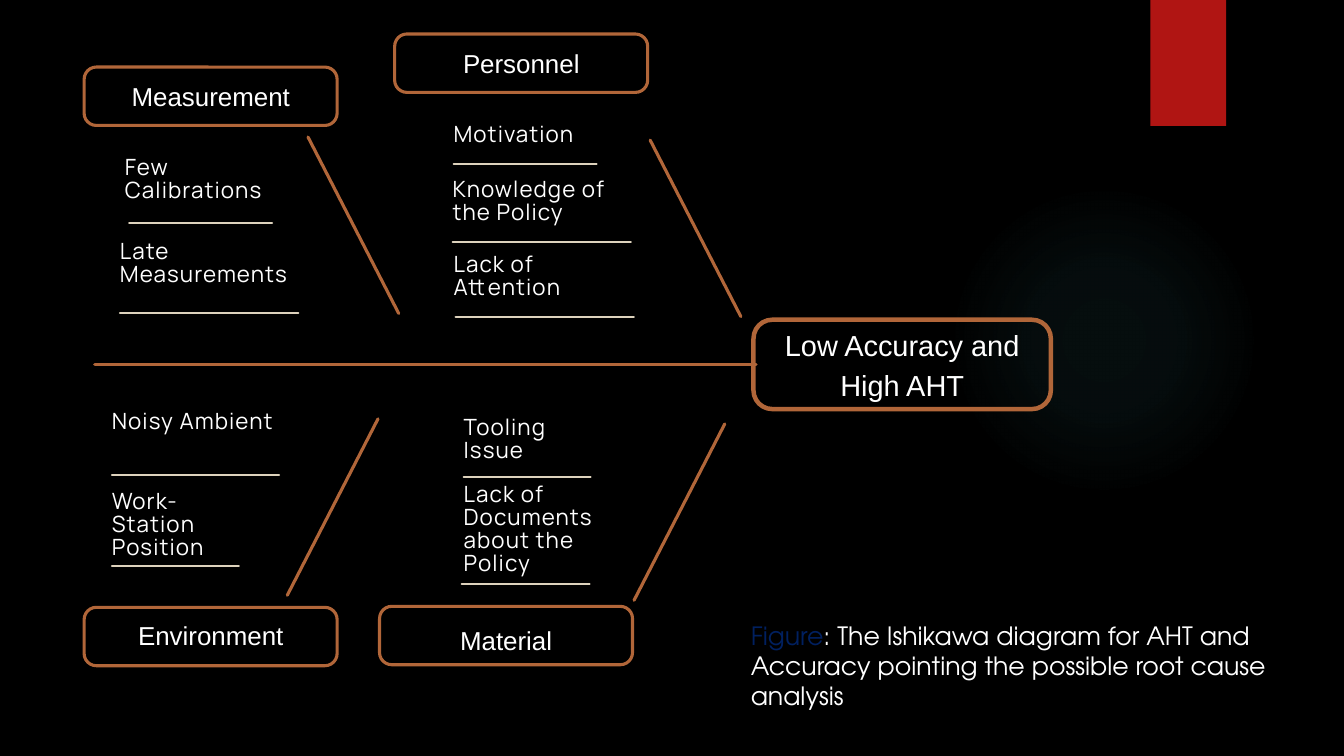
from lxml import etree
from pptx import Presentation
from pptx.dml.color import RGBColor
from pptx.enum.shapes import MSO_CONNECTOR, MSO_SHAPE
from pptx.enum.text import PP_ALIGN
from pptx.oxml import parse_xml
from pptx.oxml.ns import nsdecls, qn
from pptx.util import Pt

BROWN = "B16639"
SAND = "DDD2BC"
WHITE = "FFFFFF"

BONE_WIDTH, BONE_HEIGHT = 64.8, 126
CATEGORY_WIDTH, CATEGORY_HEIGHT = 182.9, 43.9

# Upper-left corner of each bone, and whether it leans down to the right
BONES = [
    (220, 97.9, True),
    (464.4, 100.1, True),
    (205.2, 299.2, False),
    (452.9, 302.8, False),
]

# Label, left, top, distance from the frame top to the label
CATEGORIES = [
    ("Measurement", 59, 46.8, 7),
    ("Personnel", 280.8, 23.2, 7),
    ("Environment", 59, 432.7, 6.5),
    ("Material", 270, 432, 10.8),
]

# Text, left, top, width, then left, height and length of the rule below
CAUSES = [
    ("Few Calibrations", 89.3, 112.3, 108, 92.2, 159.2, 102.2),
    ("Late Measurements", 85.7, 172.1, 133.9, 85.7, 223.8, 127.4),
    ("Motivation", 324, 88.4, 102.2, 324, 117.4, 102.2),
    ("Knowledge of the Policy", 323.3, 128, 127.4, 323.3, 172.8, 127.4),
    ("Lack of Attention", 324, 181.4, 127.4, 325.4, 226.2, 127.4),
    ("Noisy Ambient", 79.9, 293.8, 120.2, 79.9, 339.1, 119.5),
    ("Work-Station Position", 79.9, 350.6, 91.4, 79.9, 404.4, 90.7),
    ("Tooling Issue", 331.2, 298.1, 102.2, 331.2, 340.5, 90.7),
    ("Lack of Documents about the Policy", 331.2, 345.8, 102.2, 329.8, 417.4, 91.4),
]


def color(value):
    return RGBColor.from_string(value)


def add_shape(page, kind, left, top, width, height):
    shape = page.shapes.add_shape(kind, Pt(left), Pt(top), Pt(width), Pt(height))
    shape.shadow.inherit = False
    shape.line.fill.background()
    return shape


def add_glow(page):
    """Add the faint teal disc that fades out towards its edge."""
    glow = add_shape(page, MSO_SHAPE.OVAL, 677.5, 131.8, 221.8, 221.8)
    stops = "".join(
        f'<a:gs pos="{place * 1000}"><a:srgbClr val="50B9C1">'
        f'<a:alpha val="{alpha * 1000}"/></a:srgbClr></a:gs>'
        for place, alpha in [(0, 7), (36, 6), (69, 0), (100, 0)]
    )
    gradient = parse_xml(
        f'<a:gradFill {nsdecls("a")} rotWithShape="1"><a:gsLst>{stops}</a:gsLst>'
        '<a:path path="circle">'
        '<a:fillToRect l="50000" t="50000" r="50000" b="50000"/>'
        '</a:path></a:gradFill>'
    )
    glow.element.spPr.find(qn("a:prstGeom")).addnext(gradient)


def add_frame(page, left, top, width, height, weight):
    """Add a rounded outline whose outer edge has the given size."""
    frame = add_shape(page, MSO_SHAPE.ROUNDED_RECTANGLE, left + weight / 2,
                      top + weight / 2, width - weight, height - weight)
    frame.adjustments[0] = 0.21
    frame.fill.background()
    frame.line.color.rgb = color(BROWN)
    frame.line.width = Pt(weight)


def add_line(page, start, end, line_color, weight):
    line = page.shapes.add_connector(
        MSO_CONNECTOR.STRAIGHT, *[Pt(value) for value in (*start, *end)])
    line.line.color.rgb = color(line_color)
    line.line.width = Pt(weight)
    line.line._get_or_add_ln().set("cap", "rnd")
    etree.SubElement(line._element.spPr, qn("a:effectLst"))


def add_text(page, area, spans, font, size, align=PP_ALIGN.LEFT,
             line_height=None, tracking=0, insets=(0, 0)):
    """Add one paragraph made of (text, color) spans; insets are side and top."""
    box = page.shapes.add_textbox(*[Pt(value) for value in area])
    frame = box.text_frame
    frame.word_wrap = True
    frame.margin_left = frame.margin_right = Pt(insets[0])
    frame.margin_top = frame.margin_bottom = Pt(insets[1])
    para = frame.paragraphs[0]
    para.alignment = align
    if line_height:
        para.line_spacing = Pt(line_height)
    for text, text_color in spans:
        span = para.add_run()
        span.text = text
        span.font.name = font
        span.font.size = Pt(size)
        span.font.color.rgb = color(text_color)
        if tracking:
            span.font._element.set("spc", str(round(tracking * 100)))


def add_bone(page, left, top, falling):
    right, bottom = left + BONE_WIDTH, top + BONE_HEIGHT
    if falling:
        add_line(page, (left, top), (right, bottom), BROWN, 2.25)
    else:
        add_line(page, (left, bottom), (right, top), BROWN, 2.25)


def add_category(page, label, left, top, label_drop):
    add_frame(page, left, top, CATEGORY_WIDTH, CATEGORY_HEIGHT, 2.2)
    add_text(page, (left + 27.4, top + label_drop, 128.2, 23.8),
             [(label, WHITE)], "Arial", 18.5, PP_ALIGN.CENTER, 25.9)


def add_cause(page, text, left, top, width, rule_left, rule_top, rule_length):
    add_text(page, (left, top, width, 33), [(text, WHITE)],
             "Manrope", 16, line_height=16.5, tracking=0.8)
    add_line(page, (rule_left, rule_top), (rule_left + rule_length, rule_top),
             SAND, 1.5)


def add_effect(page):
    add_frame(page, 536.6, 226.8, 215.6, 67, 3.2)
    add_text(page, (551.5, 229.7, 185.8, 56.2),
             [("Low Accuracy and High AHT", WHITE)],
             "Arial", 20.7, PP_ALIGN.CENTER, 29)


def add_caption(page):
    add_text(page, (529.2, 439.2, 391, 72.7),
             [("Figure", "002060"),
              (": The Ishikawa diagram for AHT and Accuracy pointing "
               "the possible root cause analysis", WHITE)],
             "TeX Gyre Adventor", 18, insets=(7.2, 3.6))


def main():
    deck = Presentation()
    deck.slide_width, deck.slide_height = Pt(960), Pt(540)
    page = deck.slides.add_slide(deck.slide_layouts[6])
    page.background.fill.solid()
    page.background.fill.fore_color.rgb = color("000000")

    add_glow(page)
    ribbon = add_shape(page, MSO_SHAPE.RECTANGLE, 821.8, 0, 54, 90)
    ribbon.fill.solid()
    ribbon.fill.fore_color.rgb = color("B01513")

    add_line(page, (67.7, 260.1), (540, 260.1), BROWN, 2.25)
    for bone in BONES:
        add_bone(page, *bone)
    for cause in CAUSES:
        add_cause(page, *cause)
    for category in CATEGORIES:
        add_category(page, *category)
    add_effect(page)
    add_caption(page)
    deck.save("out.pptx")


if __name__ == "__main__":
    main()
